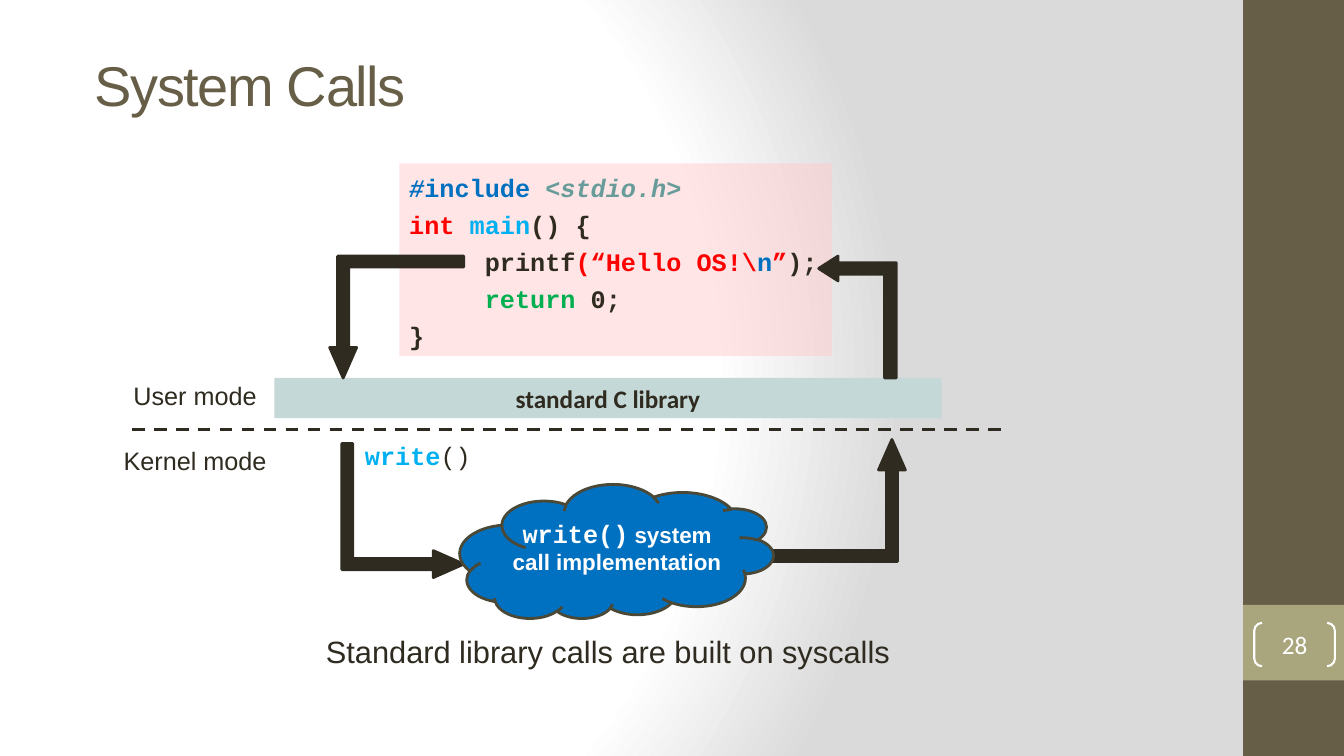
from lxml import etree
from pptx import Presentation
from pptx.dml.color import RGBColor
from pptx.enum.dml import MSO_LINE
from pptx.enum.shapes import MSO_CONNECTOR, MSO_SHAPE as SHAPE
from pptx.enum.text import MSO_ANCHOR as ANCHOR, PP_ALIGN as ALIGN
from pptx.oxml import parse_xml
from pptx.oxml.ns import nsdecls, qn
from pptx.util import Inches, Pt

COLORS = {
    "white": "FFFFFF", "gray": "DADADA", "brown": "675E47", "khaki": "A9A57C",
    "ink": "2F2B20", "outline": "4A4836", "pink": "FFCCCC", "mint": "C4D8D7",
    "teal": "689C9A", "blue": "0070C0", "sky": "00B0F0", "red": "FF0000",
    "green": "00B050",
}
RGB = {name: RGBColor.from_string(value) for name, value in COLORS.items()}

deck = Presentation()
deck.slide_width, deck.slide_height = Inches(13.33), Inches(7.5)
page = deck.slides.add_slide(deck.slide_layouts[6])

stops = "".join(
    f'<a:gs pos="{percent * 1000}"><a:srgbClr val="{COLORS[color]}"/></a:gs>'
    for percent, color in [(0, "white"), (75, "white"), (100, "gray")])
page.element.cSld.insert(0, parse_xml(
    f'<p:bg {nsdecls("p", "a")}><p:bgPr><a:gradFill rotWithShape="1">'
    f'<a:gsLst>{stops}</a:gsLst><a:path path="circle">'
    '<a:fillToRect l="20000" t="50000" r="100000" b="50000"/></a:path>'
    '</a:gradFill><a:effectLst/></p:bgPr></p:bg>'))


def add_figure(kind, place, fill=None, line=None, width=2, rotation=0, adjust=()):
    figure = page.shapes.add_shape(kind, *map(Inches, place))
    figure.shadow.inherit = False
    figure.rotation = rotation
    for index, value in enumerate(adjust):
        figure.adjustments[index] = value
    if fill:
        figure.fill.solid()
        figure.fill.fore_color.rgb = RGB[fill]
    else:
        figure.fill.background()
    if line:
        figure.line.color.rgb = RGB[line]
        figure.line.width = Pt(width)
    else:
        figure.line.fill.background()
    return figure


def write_text(box, lines, align=ALIGN.CENTER, anchor=ANCHOR.TOP, gap=0, **base):
    """Fill a box with lines of (text, font changes) spans; gap is points between lines."""
    frame = box.text_frame
    frame.word_wrap = True
    frame.vertical_anchor = anchor
    for number, spans in enumerate(lines):
        para = frame.paragraphs[0] if number == 0 else frame.add_paragraph()
        para.alignment = align
        para.space_before = Pt(gap if number else 0)
        for text, changes in spans:
            span = para.add_run()
            span.text = text
            look = {"name": "Arial", "size": 18, "color": "ink", **base, **changes}
            span.font.color.rgb = RGB[look.pop("color")]
            look["size"] = Pt(look["size"])
            for attribute, value in look.items():
                setattr(span.font, attribute, value)
    return frame


# Side band with page number
add_figure(SHAPE.RECTANGLE, (12.33, 0, 1, 7.5), "brown")
add_figure(SHAPE.RECTANGLE, (12.33, 6, 1, 0.75), "khaki")
bracket = add_figure(SHAPE.DOUBLE_BRACKET, (12.44, 6.18, 0.8, 0.43),
                     line="white", width=1.5, adjust=[0.18])
number_frame = write_text(bracket, [[("28", {})]], anchor=ANCHOR.MIDDLE,
                          name="Calibri", color="white")
for side in ("left", "top", "right", "bottom"):
    setattr(number_frame, f"margin_{side}", 0)

# Title
title = page.shapes.add_textbox(*map(Inches, (0.84, 0.61, 10.91, 0.45)))
title_frame = write_text(title, [[("System Calls", {})]], ALIGN.LEFT, ANCHOR.MIDDLE,
                         size=40, color="brown")
title_frame.paragraphs[0].runs[0].font._element.set("spc", "-100")

# Program listing
code = add_figure(SHAPE.RECTANGLE, (3.96, 1.62, 4.29, 1.91), "pink")
tint = code.fill._xPr.find(qn("a:solidFill"))[0]
etree.SubElement(tint, qn("a:alpha")).set("val", "50000")
code_frame = write_text(code, [
    [("#", {"color": "blue", "italic": True}), ("include ", {"color": "blue"}),
     ("<", {"color": "teal"}), ("stdio.h", {"color": "teal", "italic": True}),
     (">", {"color": "teal"})],
    [("int ", {"color": "red"}), ("main", {"color": "sky"}), ("() {", {})],
    [("     printf", {}), ("(“Hello OS!\\", {"color": "red"}),
     ("n", {"color": "blue"}), ("”", {"color": "red"}), (");", {})],
    [("     ", {}), ("return", {"color": "green"}), (" 0;", {})],
    [("}", {})],
], ALIGN.LEFT, gap=4.8, name="Courier New", bold=True)
code_frame.margin_top = Inches(0.09)

# Library bar and the border between the modes
library = add_figure(SHAPE.RECTANGLE, (2.72, 3.75, 6.62, 0.4), "mint")
write_text(library, [[("standard C library", {})]], anchor=ANCHOR.MIDDLE,
           name="Calibri", bold=True)
border = page.shapes.add_connector(
    MSO_CONNECTOR.STRAIGHT, *map(Inches, (1.31, 4.26, 9.93, 4.26)))
border.line.color.rgb = RGB["ink"]
border.line.width = Pt(2.25)
border.line.dash_style = MSO_LINE.DASH
etree.SubElement(border._element.spPr, qn("a:effectLst"))

# Call path: down to the library, into the kernel, back up, back to the program
LARGE, SMALL = (0.09, 0.11, 0.25), (0.15, 0.16, 0.25)
for place, rotation, adjust in [
    ((3.27, 2.54, 1.33, 1.21), 180, LARGE),
    ((3.33, 4.46, 1.33, 1.21), 90, LARGE),
    ((7.65, 4.36, 1.33, 1.21), 0, LARGE),
    ((7.9, 2.76, 1.21, 0.77), 270, SMALL),
]:
    add_figure(SHAPE.BENT_UP_ARROW, place, "ink", "ink",
               rotation=rotation, adjust=adjust)
add_figure(SHAPE.CLOUD, (4.56, 4.81, 3.11, 1.33), "blue", "outline", rotation=180)

# Labels
MONO = {"name": "Courier New", "size": 18}
for place, lines, look in [
    ((1.02, 3.72, 1.83, 1.04), [[("User mode", {})], [("Kernel mode", {})]],
     {"gap": 25}),
    ((3.23, 4.32, 1.83, 0.4),
     [[("write", {"color": "sky", "bold": True}), ("()", {})]], MONO),
    ((4.93, 5.09, 2.38, 0.67),
     [[("write()", MONO), (" system call implementation", {})]],
     {"size": 16, "color": "white", "bold": True}),
    ((2.72, 6.23, 6.62, 0.47),
     [[("Standard library calls are built on syscalls", {})]], {"size": 22}),
]:
    write_text(page.shapes.add_textbox(*map(Inches, place)), lines, **look)

deck.save("out.pptx")
